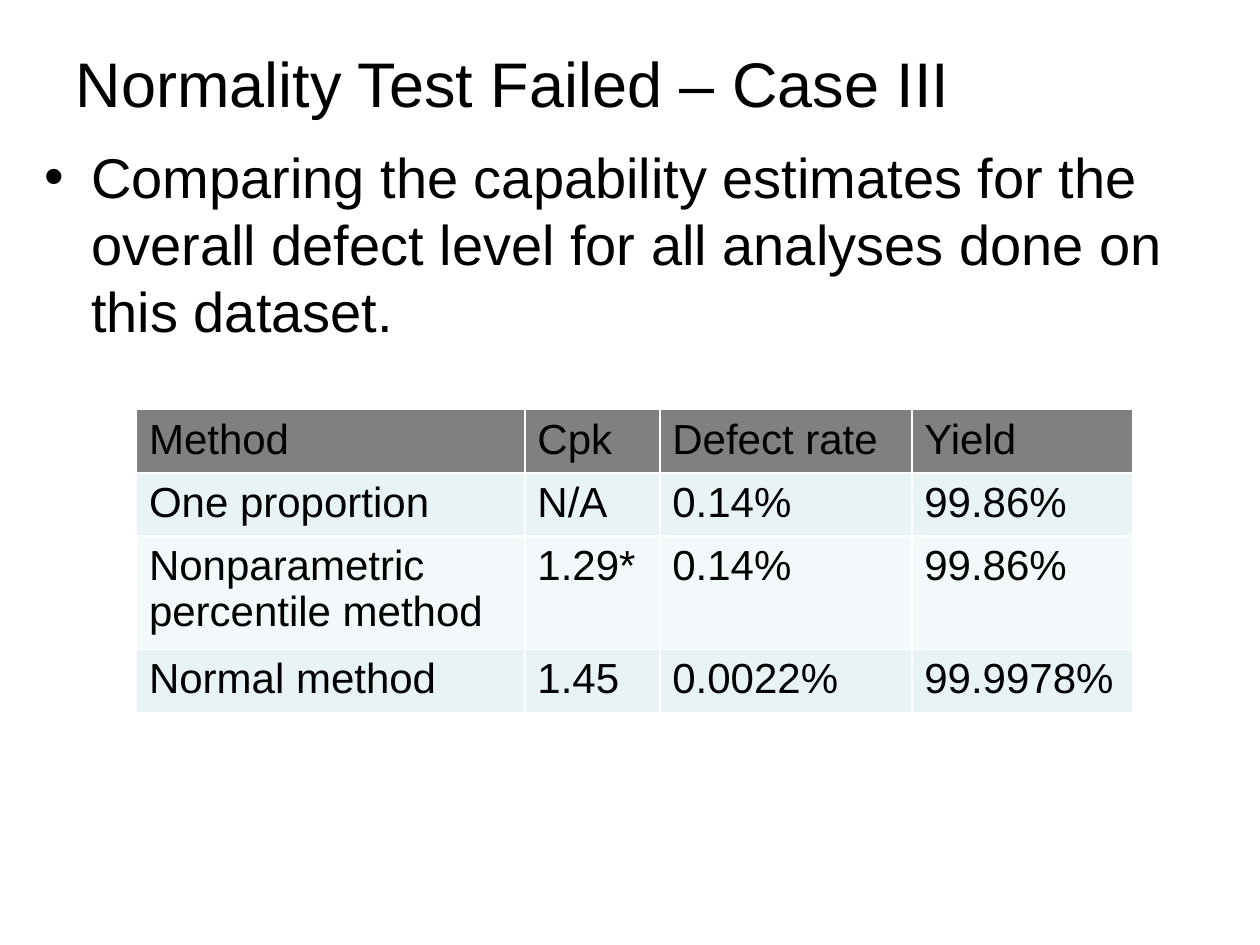
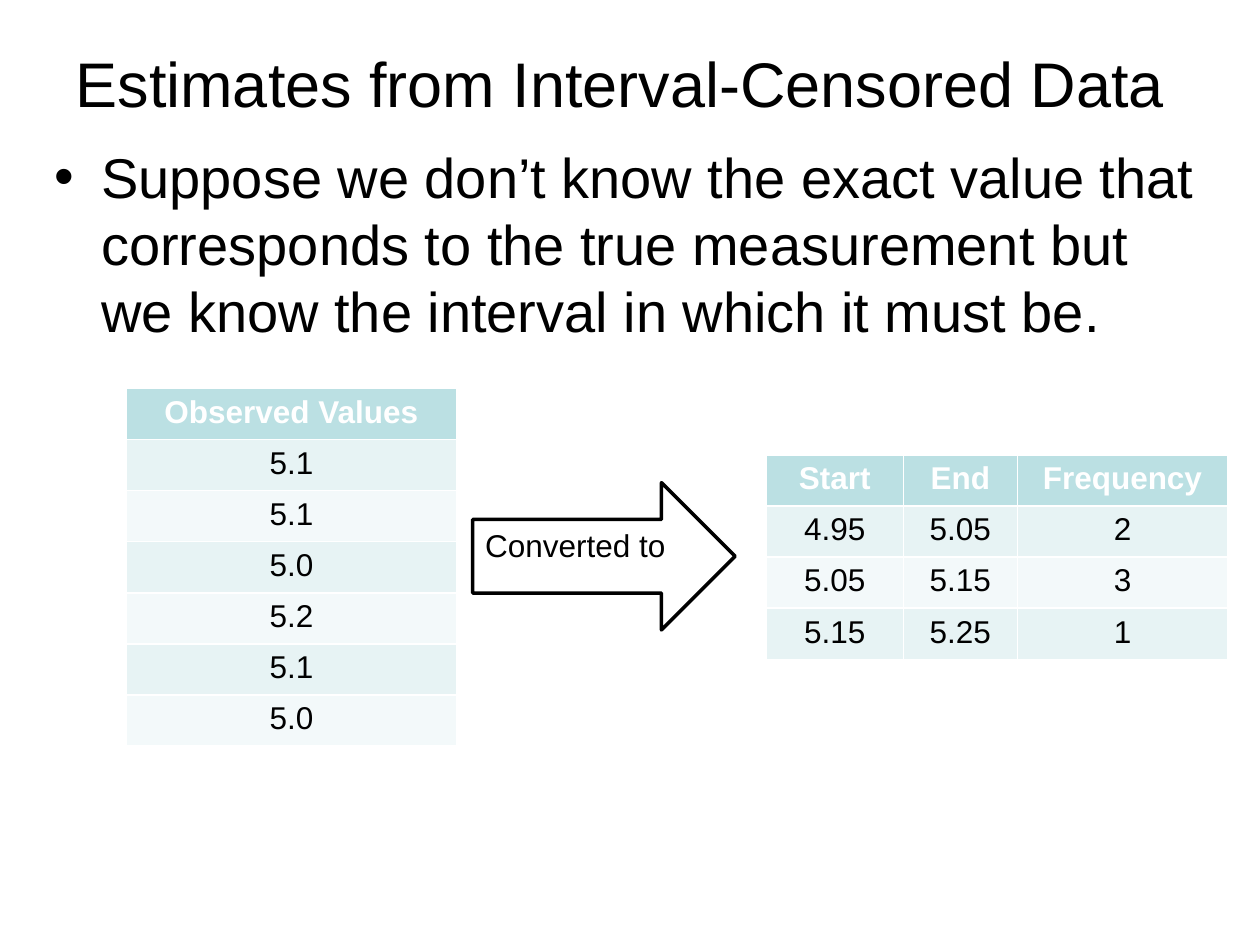
"""Build two slides on capability estimates and interval-censored data."""
from lxml import etree
from pptx import Presentation
from pptx.dml.color import RGBColor
from pptx.enum import shapes, text
from pptx.oxml import ns
from pptx.util import Cm, Pt

HUES = {"ink": "000000", "paper": "FFFFFF", "gray": "808080",
        "teal": "BBE0E3", "pale": "E7F3F4", "faint": "F3F9FA"}
FONT = "Arial"


def write(para, words, size, hue="ink", bold=False):
    run = para.add_run()
    run.text = words
    run.font.name = FONT
    run.font.size = Pt(size)
    run.font.bold = bold
    run.font.color.rgb = RGBColor.from_string(HUES[hue])


def grid(slide, left, top, cols, highs, rows, size, head, hue, bold, align):
    frame = slide.shapes.add_table(len(rows), len(cols), Cm(left), Cm(top),
                                   Cm(sum(cols)), Cm(sum(highs)))
    table = frame.table
    for col, wide in zip(table.columns, cols):
        col.width = Cm(wide)
    for r, (row, high) in enumerate(zip(rows, highs)):
        table.rows[r].height = Cm(high)
        fill = head if r == 0 else ("faint", "pale")[r % 2]
        for c, words in enumerate(row):
            cell = table.cell(r, c)
            cell.fill.solid()
            cell.fill.fore_color.rgb = RGBColor.from_string(HUES[fill])
            para = cell.text_frame.paragraphs[0]
            para.alignment = align
            if r == 0:
                write(para, words, size, hue, bold)
            else:
                write(para, words, size)


deck = Presentation()
deck.slide_width, deck.slide_height = Cm(25.4), Cm(19.05)

pages = [
    ("Normality Test Failed – Case III", 0.64, 23.5,
     "Comparing the capability estimates for the overall defect level "
     "for all analyses done on this dataset."),
    ("Estimates from Interval-Censored Data", 0.84, 23.72,
     "Suppose we don’t know the exact value that corresponds to the true "
     "measurement but we know the interval in which it must be."),
]
slides = []
for name, left, wide, point in pages:
    slide = deck.slides.add_slide(deck.slide_layouts[5])
    slides.append(slide)
    title = slide.shapes.title
    title.left, title.top = Cm(1.27), Cm(0.76)
    title.width, title.height = Cm(22.86), Cm(1.78)
    title.text_frame.auto_size = text.MSO_AUTO_SIZE.NONE
    title.text_frame.vertical_anchor = text.MSO_ANCHOR.MIDDLE
    para = title.text_frame.paragraphs[0]
    para.alignment = text.PP_ALIGN.LEFT
    write(para, name, 36)

    body = slide.shapes.add_textbox(Cm(left), Cm(2.74), Cm(wide), Cm(12.3))
    body.text_frame.word_wrap = True
    para = body.text_frame.paragraphs[0]
    para.space_before = Pt(6.4)
    props = para._p.get_or_add_pPr()
    props.set("marL", str(Cm(0.95)))
    props.set("indent", str(-Cm(0.95)))
    etree.SubElement(props, ns.qn("a:buFont"), typeface=FONT)
    etree.SubElement(props, ns.qn("a:buChar"), char="•")
    write(para, point, 32)

methods = [("Method", "Cpk", "Defect rate", "Yield"),
           ("One proportion", "N/A", "0.14%", "99.86%"),
           ("Nonparametric percentile method", "1.29*", "0.14%", "99.86%"),
           ("Normal method", "1.45", "0.0022%", "99.9978%")]
grid(slides[0], 2.75, 8.26, [7.83, 2.72, 5.08, 4.45], [1.27, 1.27, 2.29, 1.27],
     methods, 24, "gray", "ink", False, text.PP_ALIGN.LEFT)

values = [("Observed Values",), ("5.1",), ("5.1",), ("5.0",),
          ("5.2",), ("5.1",), ("5.0",)]
spans = [("Start", "End", "Frequency"), ("4.95", "5.05", "2"),
         ("5.05", "5.15", "3"), ("5.15", "5.25", "1")]
for left, top, cols, rows in [(2.54, 7.83, [6.67], values),
                              (15.45, 9.17, [2.76, 2.3, 4.24], spans)]:
    grid(slides[1], left, top, cols, [1.03] * len(rows), rows, 18,
         "teal", "paper", True, text.PP_ALIGN.CENTER)

arrow = slides[1].shapes.add_shape(shapes.MSO_SHAPE.RIGHT_ARROW,
                                   Cm(9.53), Cm(9.73), Cm(5.29), Cm(2.97))
arrow.shadow.inherit = False
arrow.fill.solid()
arrow.fill.fore_color.rgb = RGBColor.from_string(HUES["paper"])
arrow.line.color.rgb = RGBColor.from_string(HUES["ink"])
arrow.line.width = Pt(2)
arrow.text_frame.vertical_anchor = text.MSO_ANCHOR.TOP
para = arrow.text_frame.paragraphs[0]
para.alignment = text.PP_ALIGN.LEFT
write(para, "Converted to", 18)

deck.save("out.pptx")
